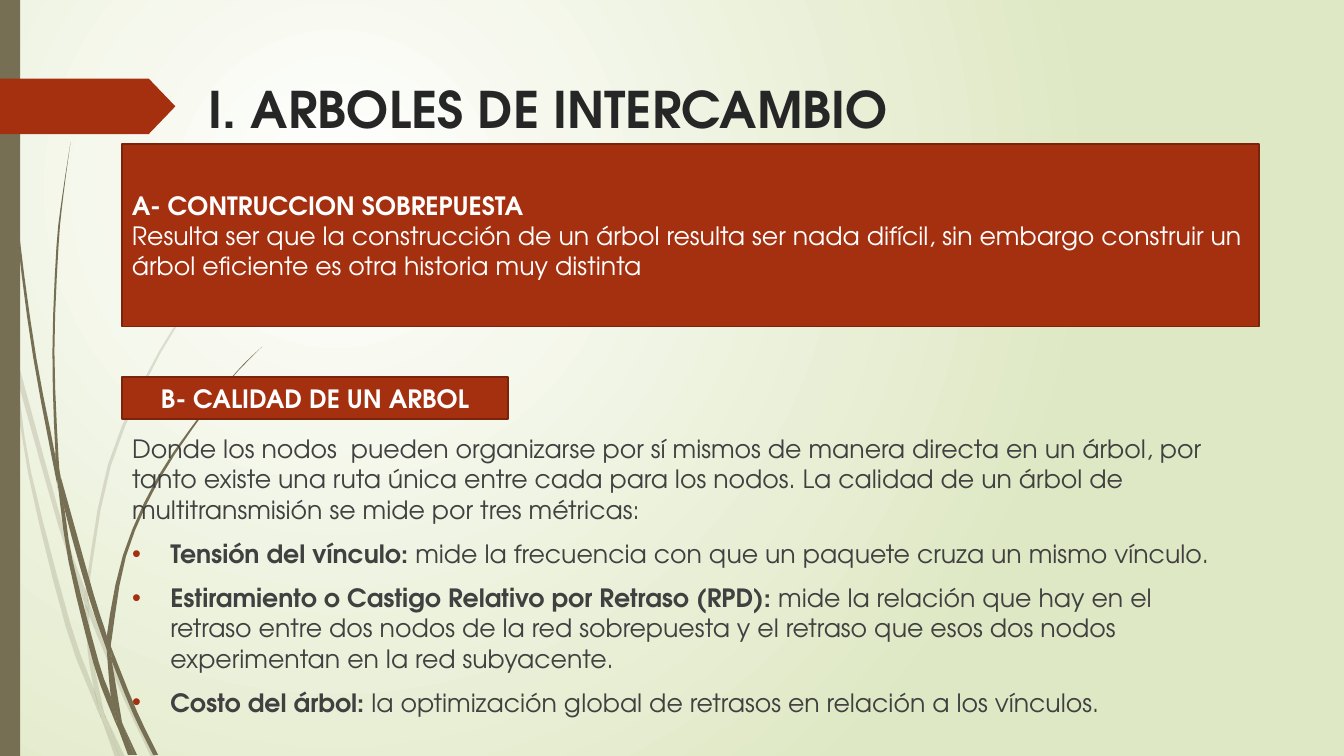
from lxml import etree
from pptx import Presentation
from pptx import util as u
from pptx.dml import color
from pptx.enum import shapes, text
from pptx.oxml import ns

PX = 9144
FONT = "TeX Gyre Adventor"
RUST, EDGE, BROWN = "A53010", "7A240C", "766F54"
WHITE, DARK, GRAY = "FFFFFF", "262626", "404040"
BACKGROUND = [WHITE, "DFE8C4"]

TITLE = [[("I. ARBOLES DE INTERCAMBIO", True)]]
BOXES = [
    ((121, 143, 1128, 181), text.PP_ALIGN.LEFT, [
        [("A- CONTRUCCION SOBREPUESTA", True)],
        [("Resulta ser que la construcción de un árbol resulta ser nada difícil, sin embargo "
          "construir un árbol eficiente es otra historia muy distinta", False)],
    ]),
    ((121, 374, 383, 42), text.PP_ALIGN.CENTER, [[("B- CALIDAD DE UN ARBOL", True)]]),
]
INTRO = [("Donde los nodos  pueden organizarse por sí mismos de manera directa en un árbol, por "
          "tanto existe una ruta única entre cada para los nodos. La calidad de un árbol de "
          "multitransmisión se mide por tres métricas:", False)]
METRICS = [
    [("Tensión del vínculo:", True),
     (" mide la frecuencia con que un paquete cruza un mismo vínculo.", False)],
    [("Estiramiento o Castigo Relativo por Retraso (RPD):", True),
     (" mide la relación que hay en el retraso entre dos nodos de la red sobrepuesta y el "
      "retraso que esos dos nodos experimentan en la red subyacente.", False)],
    [("Costo del árbol:", True),
     (" la optimización global de retrasos en relación a los vínculos.", False)],
]

PALE_BLADES = [
    ([(0, 282), (9, 322), (11, 350)], [(0, 299), (10, 344), (11, 350)]),
    ([(14, 345), (62, 520), (85, 586)], [(17, 376), (58, 522), (84, 599)]),
    ([(88, 596), (92, 607), (127, 692), (155, 751)], [(88, 610), (123, 694), (150, 751)]),
    ([(105, 711), (124, 751)], [(105, 711), (119, 751)]),
    ([(11, 350), (17, 376), (31, 469), (70, 619), (93, 683), (99, 707), (101, 714)],
     [(11, 350), (28, 470), (65, 621), (92, 693), (101, 714)]),
    ([(84, 599), (88, 608), (91, 646), (103, 706), (105, 711)],
     [(84, 599), (87, 646), (93, 683), (96, 692), (105, 711)]),
    ([(312, 153), (290, 175), (268, 198), (229, 245), (160, 349), (110, 462), (88, 584), (88, 596)],
     [(312, 153), (289, 175), (268, 197), (228, 244), (158, 348), (107, 461), (85, 584), (85, 586)]),
    ([(101, 714), (119, 751)], [(101, 714), (114, 751)]),
    ([(85, 586), (88, 596), (88, 610)], [(85, 586), (84, 599), (88, 608)]),
    ([(93, 683), (96, 692), (105, 711), (119, 751)], [(93, 683), (99, 707), (101, 714), (119, 751)]),
]
DARK_BLADES = [
    ([(4, 0), (5, 48), (8, 109), (19, 232), (36, 355), (55, 453), (57, 481)],
     [(3, 0), (4, 48), (7, 110), (17, 233), (33, 355), (56, 477), (57, 481)]),
    ([(60, 472), (93, 590), (106, 631), (106, 645)], [(60, 472), (64, 505), (88, 592), (106, 645)]),
    ([(110, 641), (113, 649), (136, 706), (157, 749)], [(111, 656), (132, 708), (152, 749)]),
    ([(57, 477), (64, 505), (72, 556), (98, 657), (110, 691), (116, 717), (117, 722)],
     [(57, 477), (68, 557), (93, 659), (111, 708), (117, 722)]),
    ([(70, 141), (63, 193), (58, 245), (54, 349), (58, 453), (60, 472)],
     [(70, 141), (62, 193), (56, 245), (52, 349), (55, 449), (60, 472)]),
    ([(122, 719), (136, 749)], [(122, 719), (133, 749)]),
    ([(55, 449), (60, 472), (64, 505)], [(55, 449), (55, 453), (57, 477), (64, 505)]),
    ([(260, 344), (245, 359), (231, 374), (205, 406), (158, 476), (125, 552), (111, 633), (110, 641)],
     [(260, 344), (245, 358), (231, 373), (204, 405), (156, 474), (122, 551), (106, 631), (110, 641)]),
    ([(117, 722), (131, 749)], [(117, 722), (127, 749)]),
    ([(106, 645), (109, 651), (111, 656), (121, 716), (122, 719)],
     [(106, 645), (110, 691), (116, 706), (122, 719)]),
    ([(106, 631), (110, 641), (111, 656)], [(106, 631), (106, 645), (109, 651), (111, 656)]),
    ([(110, 691), (116, 706), (122, 719), (133, 749)], [(110, 691), (116, 717), (117, 722), (130, 749)]),
]
STEPS = 3


def rgb(value):
    return color.RGBColor.from_string(value)


def place(shape, box):
    shape.left, shape.top, shape.width, shape.height = [length * PX for length in box]


def paint(shape, fill, line=None):
    shape.shadow.inherit = False
    shape.fill.solid()
    shape.fill.fore_color.rgb = rgb(fill)
    if line:
        shape.line.color.rgb = rgb(line)
        shape.line.width = u.Pt(1.25)
    else:
        shape.line.fill.background()


def write(frame, paragraphs, size, ink, align=text.PP_ALIGN.LEFT):
    frame.word_wrap = True
    frame.auto_size = text.MSO_AUTO_SIZE.NONE
    for index, runs in enumerate(paragraphs):
        paragraph = frame.paragraphs[0] if index == 0 else frame.add_paragraph()
        paragraph.alignment = align
        paragraph.space_before = u.Pt(0)
        for words, bold in runs:
            run = paragraph.add_run()
            run.text = words
            run.font.name = FONT
            run.font.size = u.Pt(size)
            run.font.bold = bold
            run.font.color.rgb = rgb(ink)


def set_bullet(paragraph, indent, mark=None):
    properties = paragraph._p.get_or_add_pPr()
    properties.set("marL", str(indent * PX))
    properties.set("indent", str(-indent * PX))
    if mark:
        tint = etree.SubElement(properties, ns.qn("a:buClr"))
        etree.SubElement(tint, ns.qn("a:srgbClr"), val=RUST)
        etree.SubElement(properties, ns.qn("a:buFont"), typeface="Arial")
        etree.SubElement(properties, ns.qn("a:buChar"), char=mark)
    else:
        etree.SubElement(properties, ns.qn("a:buNone"))


def smooth(points):
    padded = [points[0], *points, points[-1]]
    curve = []
    for a, b, c, d in zip(padded, padded[1:], padded[2:], padded[3:]):
        for step in range(STEPS):
            t = step / STEPS
            curve.append(tuple(
                q + t * (r - p) / 2 + t ** 2 * (p - 2.5 * q + 2 * r - s / 2)
                + t ** 3 * (3 * q - p - 3 * r + s) / 2
                for p, q, r, s in zip(a, b, c, d)))
    return curve + [points[-1]]


def add_blade(slide, right, left, alpha=None):
    outline = [(x * PX, y * PX) for x, y in smooth(right) + smooth(left)[::-1]]
    builder = slide.shapes.build_freeform(*outline[0])
    builder.add_line_segments(outline[1:], close=True)
    blade = builder.convert_to_shape()
    paint(blade, BROWN)
    if alpha:
        tint = blade.element.spPr.find(".//" + ns.qn("a:srgbClr"))
        etree.SubElement(tint, ns.qn("a:alpha"), val=str(alpha * 1000))


def set_background(slide):
    fill = slide.background.fill
    fill.gradient()
    for stop, value in zip(fill.gradient_stops, BACKGROUND):
        stop.color.rgb = rgb(value)
    gradient = slide.element.find(".//" + ns.qn("a:gradFill"))
    gradient.remove(gradient.find(ns.qn("a:lin")))
    circle = etree.SubElement(gradient, ns.qn("a:path"), path="circle")
    etree.SubElement(circle, ns.qn("a:fillToRect"), l="50000", t="50000", r="100000", b="100000")


def add_box(slide, kind, box, fill, line=None):
    shape = slide.shapes.add_shape(kind, *[length * PX for length in box])
    paint(shape, fill, line)
    return shape


def main():
    presentation = Presentation()
    presentation.slide_width, presentation.slide_height = u.Emu(12192000), u.Inches(7.5)
    slide = presentation.slides.add_slide(presentation.slide_layouts[1])
    set_background(slide)
    title, body = slide.placeholders

    for right, left in PALE_BLADES:
        add_blade(slide, right, left, alpha=20)
    for right, left in DARK_BLADES:
        add_blade(slide, right, left)
    add_box(slide, shapes.MSO_SHAPE.RECTANGLE, (0, 0, 20, 750), BROWN)
    arrow = add_box(slide, shapes.MSO_SHAPE.PENTAGON, (0, 78, 174, 55), RUST)
    arrow.adjustments[0] = 0.48

    for placeholder in (title, body):
        slide.shapes._spTree.append(placeholder.element)
    place(title, (197, 72, 975, 140))
    title.text_frame.vertical_anchor = text.MSO_ANCHOR.TOP
    write(title.text_frame, TITLE, 36, DARK)

    place(body, (121, 337, 1117, 413))
    frame = body.text_frame
    frame.vertical_anchor = text.MSO_ANCHOR.TOP
    frame.margin_top = 93 * PX
    write(frame, [INTRO, *METRICS], 18, GRAY)
    set_bullet(frame.paragraphs[0], 0)
    for paragraph in frame.paragraphs[1:]:
        paragraph.space_before = u.Pt(10)
        set_bullet(paragraph, 38, "•")

    for box, align, paragraphs in BOXES:
        panel = add_box(slide, shapes.MSO_SHAPE.RECTANGLE, box, RUST, EDGE)
        panel.text_frame.vertical_anchor = text.MSO_ANCHOR.MIDDLE
        write(panel.text_frame, paragraphs, 18, WHITE, align)

    presentation.save("out.pptx")


if __name__ == "__main__":
    main()
